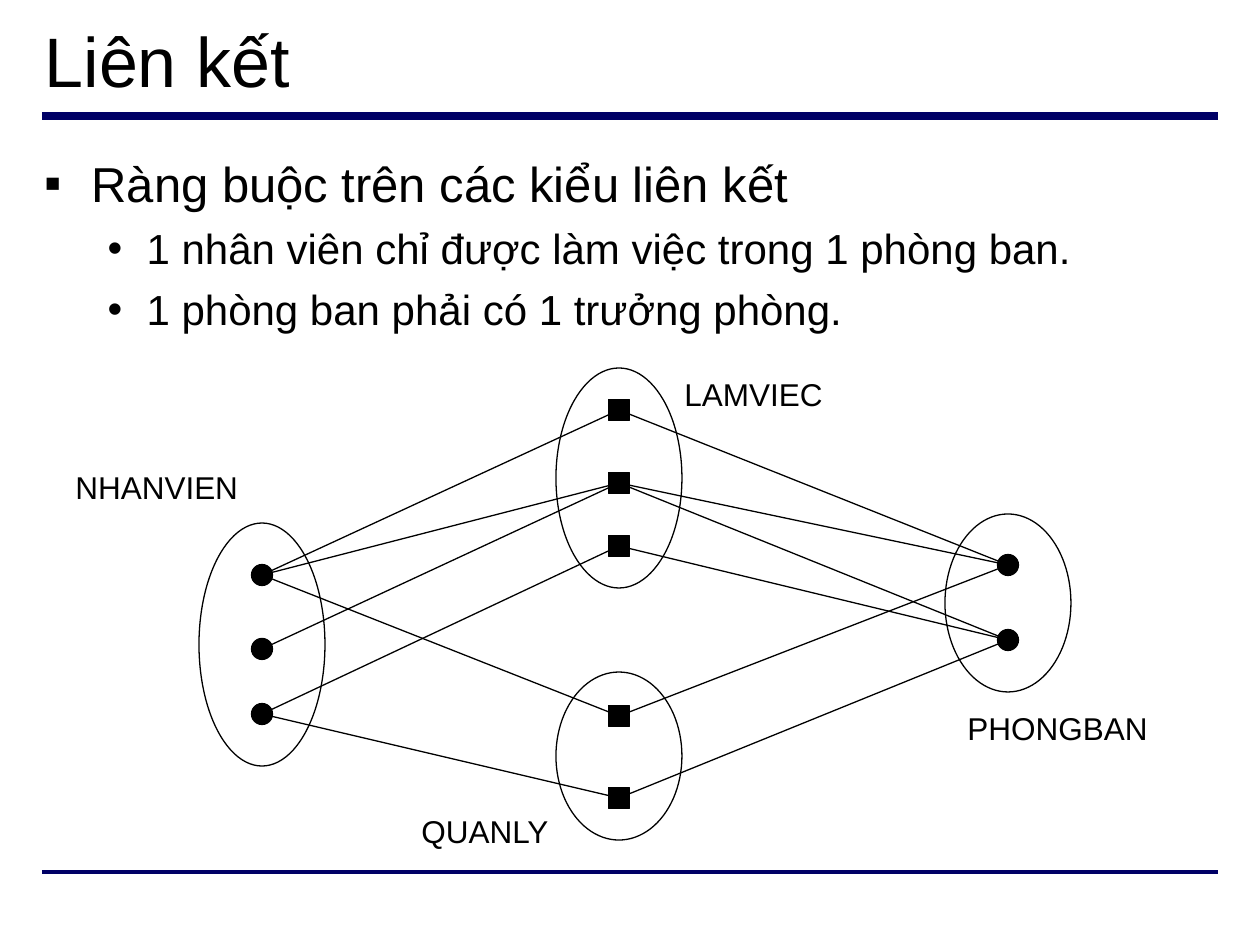
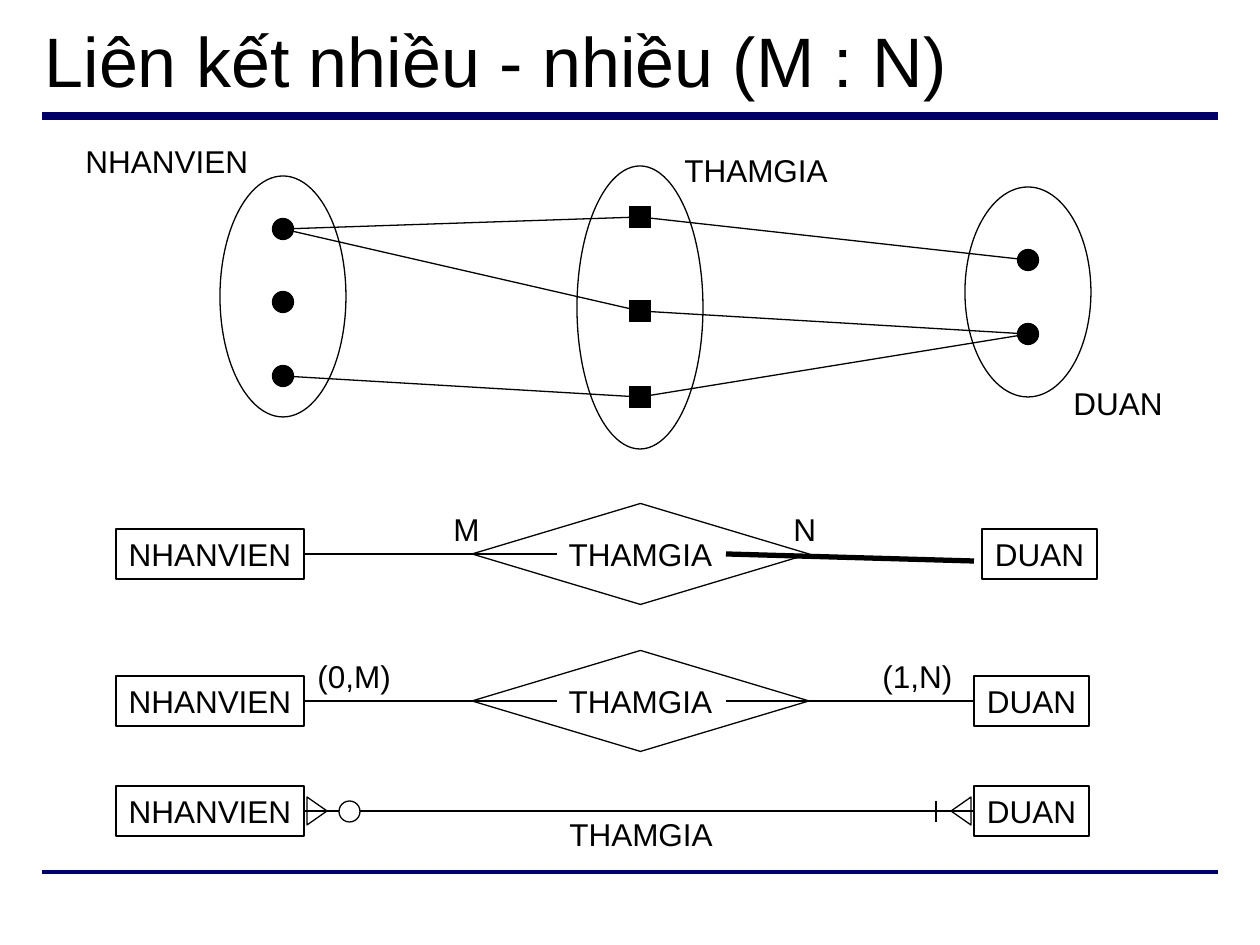
from dataclasses import dataclass

from lxml.etree import SubElement
from pptx import Presentation
from pptx.dml.color import RGBColor
from pptx.enum.shapes import MSO_CONNECTOR, MSO_SHAPE
from pptx.enum.text import MSO_ANCHOR, MSO_AUTO_SIZE, PP_ALIGN
from pptx.oxml.ns import qn
from pptx.util import Emu, Pt

EMU_PER_PX = 914400 / 126
BLACK, WHITE, NAVY = "000000", "FFFFFF", "000066"
FONT = "Arial"
SET_WIDTH, MARK_SIZE = 126, 21
BOX_HEIGHT, DIAMOND_HEIGHT = 50, 101
TOP, LEFT, BOTTOM, RIGHT = range(4)

TITLE_BOX = (32, 11, 1197, 97)
BODY_BOX = (32, 147, 1197, 698)
LEVELS = [
    {"bullet": "▪", "margin": 47, "hanging": 47, "size": 28},
    {"bullet": "•", "margin": 102, "hanging": 39, "size": 24},
]


@dataclass
class InstanceSet:
    """An outlined set of entity or relationship instances with its label."""
    label: str
    label_box: tuple
    left: int
    top: int
    height: int
    mark: MSO_SHAPE
    mark_ys: list

    def mark_at(self, index):
        return self.left + SET_WIDTH // 2, self.mark_ys[index]


def px(length):
    return Emu(round(length * EMU_PER_PX))


def color(hex_string):
    return RGBColor.from_string(hex_string)


def place(shape, box):
    for side, length in zip(("left", "top", "width", "height"), box):
        setattr(shape, side, px(length))


def style_paragraph(paragraph, size, **formats):
    for name, value in {"alignment": PP_ALIGN.LEFT, **formats}.items():
        setattr(paragraph, name, value)
    for name, value in {"name": FONT, "size": Pt(size), "bold": False}.items():
        setattr(paragraph.font, name, value)
    paragraph.font.color.rgb = color(BLACK)


def style_frame(frame, **formats):
    defaults = {"auto_size": MSO_AUTO_SIZE.NONE, "word_wrap": True}
    for name, value in {**defaults, **formats}.items():
        setattr(frame, name, value)


def add_title(slide, text):
    title = slide.shapes.title
    place(title, TITLE_BOX)
    title.text_frame.text = text
    style_frame(title.text_frame, vertical_anchor=MSO_ANCHOR.MIDDLE)
    style_paragraph(title.text_frame.paragraphs[0], 40)


def add_bullet(paragraph, level):
    properties = paragraph._p.get_or_add_pPr()
    properties.set("marL", str(px(level["margin"])))
    properties.set("indent", str(-px(level["hanging"])))
    bullet_color = SubElement(properties, qn("a:buClr"))
    SubElement(bullet_color, qn("a:srgbClr"), val=BLACK)
    SubElement(properties, qn("a:buFont"), typeface=FONT)
    SubElement(properties, qn("a:buChar"), char=level["bullet"])


def add_bullets(slide, items):
    body = slide.placeholders[1]
    place(body, BODY_BOX)
    frame = body.text_frame
    style_frame(frame, vertical_anchor=MSO_ANCHOR.TOP)
    for index, (depth, text) in enumerate(items):
        paragraph = frame.add_paragraph() if index else frame.paragraphs[0]
        paragraph.text = text
        paragraph.level = depth
        add_bullet(paragraph, LEVELS[depth])
        style_paragraph(paragraph, LEVELS[depth]["size"],
                        space_before=Pt(6 if index else 0))


def add_line(slide, start, end, width=0.75, hex_color=BLACK):
    ends = [px(length) for length in (*start, *end)]
    line = slide.shapes.add_connector(MSO_CONNECTOR.STRAIGHT, *ends)
    line.line.width = Pt(width)
    line.line.color.rgb = color(hex_color)
    SubElement(line.element.spPr, qn("a:effectLst"))
    return line


def add_figure(slide, kind, box, fill=None, text="", rotation=0):
    figure = slide.shapes.add_shape(kind, *map(px, box))
    figure.shadow.inherit = False
    figure.rotation = rotation
    if fill:
        figure.fill.solid()
        figure.fill.fore_color.rgb = color(fill)
    else:
        figure.fill.background()
    figure.line.width = Pt(0.75)
    figure.line.color.rgb = color(BLACK)
    if text:
        figure.text_frame.text = text
        style_frame(figure.text_frame, word_wrap=False,
                    vertical_anchor=MSO_ANCHOR.MIDDLE)
        style_paragraph(figure.text_frame.paragraphs[0], 18,
                        alignment=PP_ALIGN.CENTER)
    return figure


def add_label(slide, text, left, top, width):
    label = slide.shapes.add_textbox(*map(px, (left, top, width, BOX_HEIGHT)))
    label.text_frame.text = text
    style_frame(label.text_frame)
    style_paragraph(label.text_frame.paragraphs[0], 18)


def add_instance_set(slide, group):
    add_figure(slide, MSO_SHAPE.OVAL,
               (group.left, group.top, SET_WIDTH, group.height))
    for index in range(len(group.mark_ys)):
        x, y = group.mark_at(index)
        add_figure(slide, group.mark, (x - MARK_SIZE / 2, y - MARK_SIZE / 2,
                                       MARK_SIZE, MARK_SIZE), BLACK)
    add_label(slide, group.label, *group.label_box)


def add_mapping(slide, groups, links):
    """Draw the sets, and lines between marks given as (set, mark, set, mark)."""
    for first, first_mark, second, second_mark in links:
        add_line(slide, first.mark_at(first_mark), second.mark_at(second_mark))
    for group in groups:
        add_instance_set(slide, group)


def add_entities(slide, middle, duan_left=974):
    top = middle - BOX_HEIGHT // 2
    return [add_figure(slide, MSO_SHAPE.RECTANGLE,
                       (left, top, width, BOX_HEIGHT), text=name)
            for name, left, width in (("NHANVIEN", 116, 188),
                                      ("DUAN", duan_left, 115))]


def add_diamond(slide, middle, nhanvien):
    """Draw the THAMGIA diamond and the line that joins it to NHANVIEN."""
    add_figure(slide, MSO_SHAPE.DIAMOND,
               (472, middle - DIAMOND_HEIGHT / 2, 337, DIAMOND_HEIGHT),
               text="THAMGIA")
    link = add_line(slide, (304, middle), (557, middle))
    link.begin_connect(nhanvien, RIGHT)


def add_chen_row(slide, middle):
    nhanvien, _ = add_entities(slide, middle, duan_left=982)
    add_diamond(slide, middle, nhanvien)
    add_line(slide, (726, middle), (974, middle + 7), width=3)
    add_label(slide, "M", 441, 504, 56)
    add_label(slide, "N", 781, 504, 56)


def add_min_max_row(slide, middle):
    nhanvien, duan = add_entities(slide, middle)
    add_diamond(slide, middle, nhanvien)
    link = add_line(slide, (726, middle), (974, middle))
    link.end_connect(duan, LEFT)
    add_label(slide, "(0,M)", 305, 651, 105)
    add_label(slide, "(1,N)", 870, 651, 100)


def add_crow_foot_row(slide, middle):
    nhanvien, duan = add_entities(slide, middle)
    link = add_line(slide, (304, middle), (974, middle))
    link.begin_connect(nhanvien, RIGHT)
    link.end_connect(duan, LEFT)
    add_label(slide, "THAMGIA", 557, 809, 175)
    for center, rotation in ((317, 90), (961, 270)):
        add_figure(slide, MSO_SHAPE.ISOSCELES_TRIANGLE,
                   (center - 14, middle - 10, 28, 20), rotation=rotation)
    add_line(slide, (936, middle - 10), (936, middle + 11))
    add_figure(slide, MSO_SHAPE.OVAL,
               (339, middle - 10, MARK_SIZE, MARK_SIZE), WHITE)


def add_master_rules(deck, slide):
    """Draw the two navy rules and move them to the slide master."""
    for number, (y, width) in enumerate(((116, 4.5), (872, 2.25))):
        rule = add_line(slide, (42, y), (1218, y), width, NAVY).element
        rule.xpath(".//p:cNvPr")[0].set("id", str(101 + number))
        deck.slide_master.shapes.element.append(rule)


def build_constraints(slide):
    add_title(slide, "Liên kết")
    add_bullets(slide, [
        (0, "Ràng buộc trên các kiểu liên kết"),
        (1, "1 nhân viên chỉ được làm việc trong 1 phòng ban."),
        (1, "1 phòng ban phải có 1 trưởng phòng."),
    ])
    dot, square = MSO_SHAPE.OVAL, MSO_SHAPE.RECTANGLE
    nhanvien = InstanceSet("NHANVIEN", (63, 462, 199), 199, 523, 243,
                           dot, [575, 649, 714])
    lamviec = InstanceSet("LAMVIEC", (672, 369, 179), 556, 368, 220,
                          square, [410, 483, 546])
    quanly = InstanceSet("QUANLY", (409, 806, 158), 556, 672, 168,
                         square, [716, 798])
    phongban = InstanceSet("PHONGBAN", (955, 703, 209), 945, 514, 178,
                           dot, [565, 640])
    add_mapping(slide, [nhanvien, phongban, quanly, lamviec], [
        (nhanvien, 0, lamviec, 0), (nhanvien, 0, lamviec, 1),
        (nhanvien, 1, lamviec, 1), (nhanvien, 2, lamviec, 2),
        (lamviec, 0, phongban, 0), (lamviec, 1, phongban, 0),
        (lamviec, 1, phongban, 1), (lamviec, 2, phongban, 1),
        (nhanvien, 0, quanly, 0), (nhanvien, 2, quanly, 1),
        (quanly, 0, phongban, 0), (quanly, 1, phongban, 1),
    ])


def build_many_to_many(slide):
    add_title(slide, "Liên kết nhiều - nhiều (M : N)")
    dot, square = MSO_SHAPE.OVAL, MSO_SHAPE.RECTANGLE
    nhanvien = InstanceSet("NHANVIEN", (73, 136, 199), 220, 176, 241,
                           dot, [229, 302, 376])
    thamgia = InstanceSet("THAMGIA", (672, 145, 175), 577, 166, 283,
                          square, [217, 311, 397])
    duan = InstanceSet("DUAN", (1061, 378, 120), 965, 187, 210,
                       dot, [260, 334])
    add_mapping(slide, [nhanvien, thamgia, duan], [
        (nhanvien, 0, thamgia, 0), (nhanvien, 0, thamgia, 1),
        (nhanvien, 2, thamgia, 2), (thamgia, 0, duan, 0),
        (thamgia, 1, duan, 1), (thamgia, 2, duan, 1),
    ])
    add_chen_row(slide, 554)
    add_min_max_row(slide, 701)
    add_crow_foot_row(slide, 811)


def main():
    deck = Presentation()
    deck.slide_width, deck.slide_height = px(1260), px(945)
    title_and_content, title_only = deck.slide_layouts[1], deck.slide_layouts[5]
    constraints = deck.slides.add_slide(title_and_content)
    add_master_rules(deck, constraints)
    build_constraints(constraints)
    build_many_to_many(deck.slides.add_slide(title_only))
    deck.save("out.pptx")


if __name__ == "__main__":
    main()
